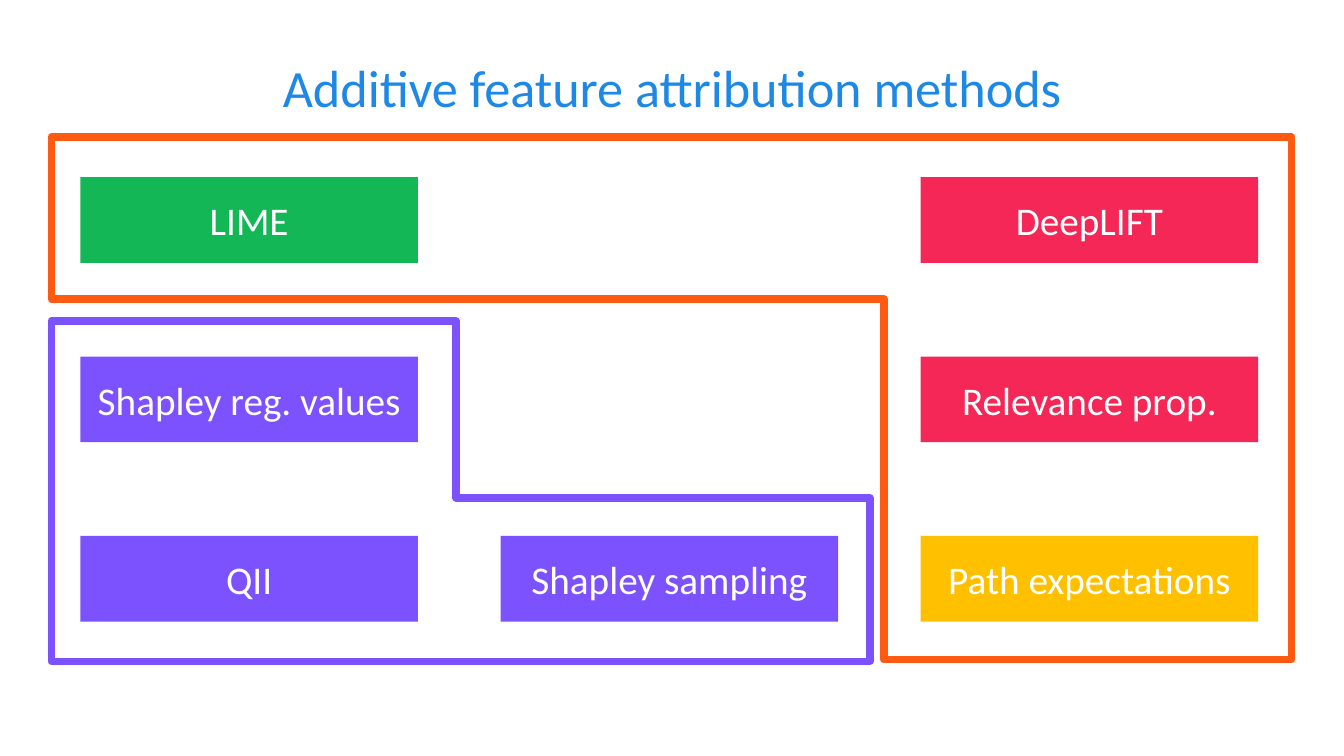
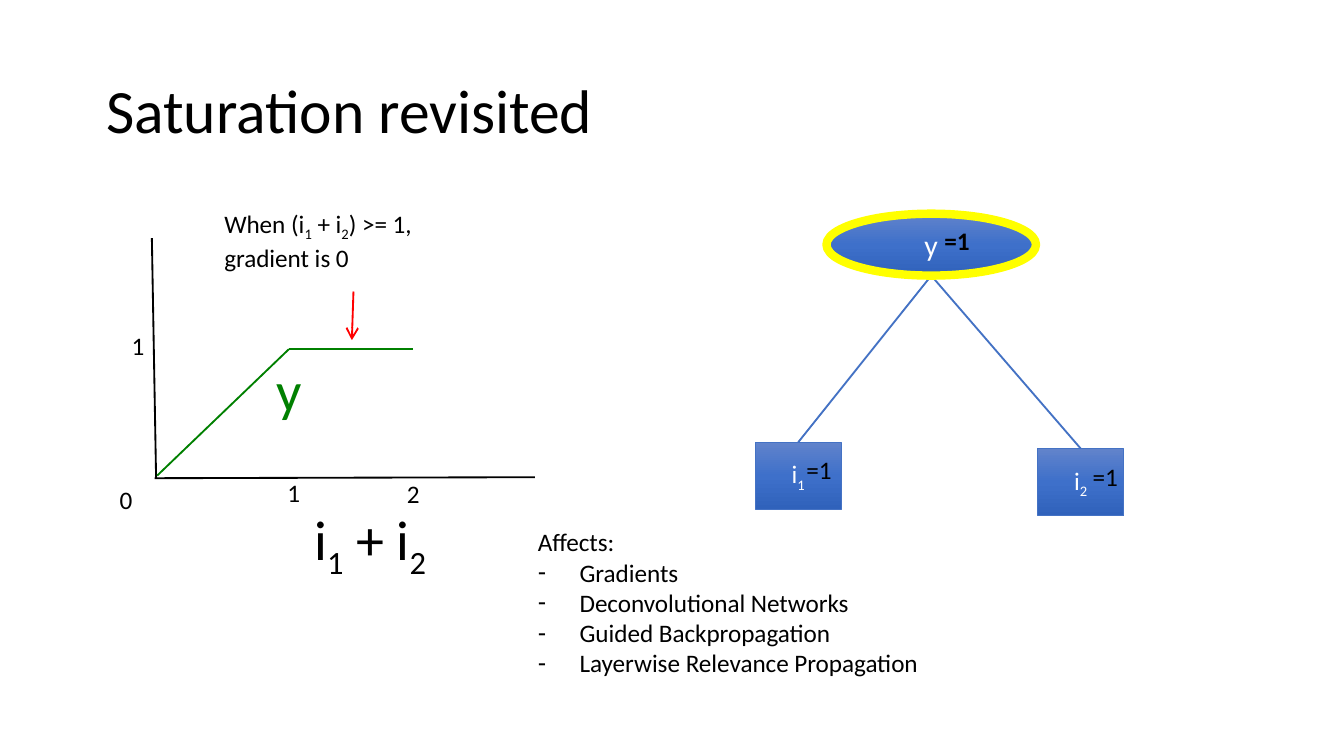
from copy import deepcopy

from lxml import etree
from pptx import Presentation
from pptx import util as u
from pptx.dml.color import RGBColor
from pptx.enum import shapes, text
from pptx.oxml import ns

FONT = "Calibri"
WHITE = RGBColor(0xFF, 0xFF, 0xFF)
BLACK = RGBColor(0, 0, 0)
RED = RGBColor(0xFF, 0, 0)
CURVE_GREEN = RGBColor(0, 0x80, 0)
YELLOW = RGBColor(0xFF, 0xFF, 0)
TITLE_BLUE = RGBColor(0x1D, 0x88, 0xE5)
LIME_GREEN = RGBColor(0x13, 0xB7, 0x55)
SHAPLEY_PURPLE = RGBColor(0x7C, 0x52, 0xFF)
DEEP_RED = RGBColor(0xF5, 0x27, 0x57)
PATH_AMBER = RGBColor(0xFF, 0xC0, 0)
GROUP_ORANGE = RGBColor(0xFF, 0x5A, 0x11)
NODE_BLUE = RGBColor(0x44, 0x72, 0xC4)
NODE_GRADIENT = (
    (0, RGBColor(0x61, 0x83, 0xCB)),
    (0.5, RGBColor(0x3E, 0x70, 0xCA)),
    (1, RGBColor(0x30, 0x62, 0xBB)),
)
LABEL_SIZE = 13.5
LEFT, CENTER = text.PP_ALIGN.LEFT, text.PP_ALIGN.CENTER


def box(left, top, width, height):
    return u.Cm(left), u.Cm(top), u.Cm(width), u.Cm(height)


def place(placeholder, area):
    placeholder.left, placeholder.top, placeholder.width, placeholder.height = box(*area)


def format_paragraph(paragraph, size, color, align=LEFT, bold=False):
    paragraph.alignment = align
    font = paragraph.font
    font.name, font.size, font.bold = FONT, u.Pt(size), bold
    font.color.rgb = color


def add_runs(paragraph, content):
    plain, *subscripted = content.split("_")
    paragraph.add_run().text = plain
    for piece in subscripted:
        subscript = paragraph.add_run()
        subscript.text = piece[0]
        subscript._r.get_or_add_rPr().set("baseline", "-25000")
        if piece[1:]:
            paragraph.add_run().text = piece[1:]


def write(frame, content, size, color, align=LEFT, bold=False):
    for index, line in enumerate(content.split("\n")):
        paragraph = frame.paragraphs[0] if index == 0 else frame.add_paragraph()
        add_runs(paragraph, line)
        format_paragraph(paragraph, size, color, align, bold)


def set_title(slide, content, area, size, color, align, spacing):
    title = slide.shapes.title
    place(title, area)
    frame = title.text_frame
    frame.vertical_anchor = text.MSO_ANCHOR.MIDDLE
    frame.auto_size = text.MSO_AUTO_SIZE.NONE
    write(frame, content, size, color, align)
    frame.paragraphs[0].line_spacing = spacing


def add_label(slide, content, area, size=LABEL_SIZE, color=BLACK, bold=False):
    label = slide.shapes.add_textbox(*box(*area))
    label.text_frame.word_wrap = True
    write(label.text_frame, content, size, color, bold=bold)


def add_line(slide, start, end, color, arrow=False):
    points = [u.Cm(value) for value in (*start, *end)]
    line = slide.shapes.add_connector(shapes.MSO_CONNECTOR.STRAIGHT, *points)
    line.line.color.rgb = color
    line.line.width = u.Pt(1)
    etree.SubElement(line._element.spPr, ns.qn("a:effectLst"))
    if arrow:
        etree.SubElement(line.line._get_or_add_ln(), ns.qn("a:tailEnd"), type="arrow")
    return line


def add_method(slide, name, column, row, color):
    area = box(1.52 + 7.94 * column, 3.35 + 3.39 * row, 6.38, 1.62)
    method = slide.shapes.add_shape(shapes.MSO_SHAPE.RECTANGLE, *area)
    method.shadow.inherit = False
    method.fill.solid()
    method.fill.fore_color.rgb = color
    method.line.fill.background()
    write(method.text_frame, name, 21, WHITE, CENTER)


def add_group_outline(slide, area, adjustments, color, rotation=0):
    outline = slide.shapes.add_shape(shapes.MSO_SHAPE.CORNER, *box(*area))
    outline.shadow.inherit = False
    outline.adjustments[0], outline.adjustments[1] = adjustments
    outline.rotation = rotation
    outline.fill.background()
    outline.line.color.rgb = color
    outline.line.width = u.Pt(4)


def add_node(slide, kind, name, area, size, border, border_width):
    node = slide.shapes.add_shape(kind, *box(*area))
    node.shadow.inherit = False
    node.fill.gradient()
    node.fill.gradient_angle = 270
    first_stop = node.fill.gradient_stops[0]._gs
    first_stop.addnext(deepcopy(first_stop))
    for stop, (position, color) in zip(node.fill.gradient_stops, NODE_GRADIENT):
        stop.position = position
        stop.color.rgb = color
    node.line.color.rgb = border
    node.line.width = u.Pt(border_width)
    write(node.text_frame, name, size, WHITE, CENTER)
    return node


def fill_list(placeholder, heading, items, area):
    place(placeholder, area)
    frame = placeholder.text_frame
    frame.auto_size = text.MSO_AUTO_SIZE.NONE
    for index, entry in enumerate((heading, *items)):
        paragraph = frame.paragraphs[0] if index == 0 else frame.add_paragraph()
        paragraph.text = entry
        paragraph.space_before = u.Pt(0)
        paragraph.line_spacing = 1.0
        indent = u.Cm(0.79) if index else 0
        properties = paragraph._p.get_or_add_pPr()
        properties.set("marL", str(indent))
        properties.set("indent", str(-indent))
        if index:
            etree.SubElement(properties, ns.qn("a:buChar"), char="-")
        else:
            etree.SubElement(properties, ns.qn("a:buNone"))
        format_paragraph(paragraph, LABEL_SIZE, BLACK)


def build_methods(slide):
    set_title(slide, "Additive feature attribution methods",
              (0, 0.91, 25.4, 1.45), 28, TITLE_BLUE, CENTER, 1.0)
    for name, column, row, color in (
        ("LIME", 0, 0, LIME_GREEN),
        ("Shapley reg. values", 0, 1, SHAPLEY_PURPLE),
        ("QII", 0, 2, SHAPLEY_PURPLE),
        ("Path expectations", 2, 2, PATH_AMBER),
        ("DeepLIFT", 2, 0, DEEP_RED),
        ("Relevance prop.", 2, 1, DEEP_RED),
        ("Shapley sampling", 1, 2, SHAPLEY_PURPLE),
    ):
        add_method(slide, name, column, row, color)
    add_group_outline(slide, (0.97, 6.07, 15.47, 6.43), (0.48, 1.19), SHAPLEY_PURPLE)
    add_group_outline(slide, (0.97, 2.59, 23.44, 9.88), (0.31, 0.78), GROUP_ORANGE, 180)


def build_plot(slide):
    add_line(slide, (6.68, 5.51), (6.65, 6.43), RED, arrow=True)
    add_label(slide, "When (i_1 + i_2) >= 1,\ngradient is 0", (3.99, 3.81, 5.36, 1.8))
    add_line(slide, (2.87, 4.5), (2.95, 9.04), BLACK)
    add_line(slide, (10.11, 9.02), (2.92, 9.04), BLACK)
    add_label(slide, "i_1 + i_2", (5.69, 9.42, 2.74, 1.55), 30)
    for tick, left, top in (("0", 2.01, 9.04), ("1", 2.24, 6.12),
                            ("1", 5.18, 8.89), ("2", 7.44, 8.92)):
        add_label(slide, tick, (left, top, 0.84, 1.02))
    knee = (5.46, 6.6)
    add_line(slide, knee, (7.8, 6.6), CURVE_GREEN)
    add_line(slide, (2.97, 8.99), knee, CURVE_GREEN)
    add_label(slide, "y", (4.98, 6.6, 0.99, 1.55), 30, CURVE_GREEN)


def build_network(slide):
    output_bottom = (17.6, 5.21)
    for name, left, top in (("i_1", 14.27, 8.36), ("i_2", 19.61, 8.48)):
        source = add_node(slide, shapes.MSO_SHAPE.RECTANGLE, name,
                          (left, top, 1.63, 1.27), LABEL_SIZE, NODE_BLUE, 0.5)
        edge = add_line(slide, (left, top), output_bottom, NODE_BLUE)
        edge.begin_connect(source, 0)
    add_node(slide, shapes.MSO_SHAPE.OVAL, "y", (15.62, 4.04, 3.96, 1.17),
             16, YELLOW, 4.5)
    for left, top, bold in ((17.6, 4.14, True), (20.4, 8.59, False), (14.99, 8.46, False)):
        add_label(slide, "=1", (left, top, 1.22, 1.02), bold=bold)


def build_saturation(slide):
    set_title(slide, "Saturation revisited",
              (1.75, 0.76, 21.9, 2.77), 33, BLACK, LEFT, 0.9)
    build_plot(slide)
    build_network(slide)
    fill_list(slide.placeholders[1], "Affects:",
              ("Gradients", "Deconvolutional Networks", "Guided Backpropagation",
               "Layerwise Relevance Propagation"),
              (9.91, 9.83, 9.98, 4.11))


def main():
    presentation = Presentation()
    presentation.slide_width, presentation.slide_height = u.Cm(25.4), u.Cm(14.29)
    layouts = presentation.slide_layouts
    build_methods(presentation.slides.add_slide(layouts.get_by_name("Title Only")))
    build_saturation(presentation.slides.add_slide(layouts.get_by_name("Title and Content")))
    presentation.save("out.pptx")


if __name__ == "__main__":
    main()
